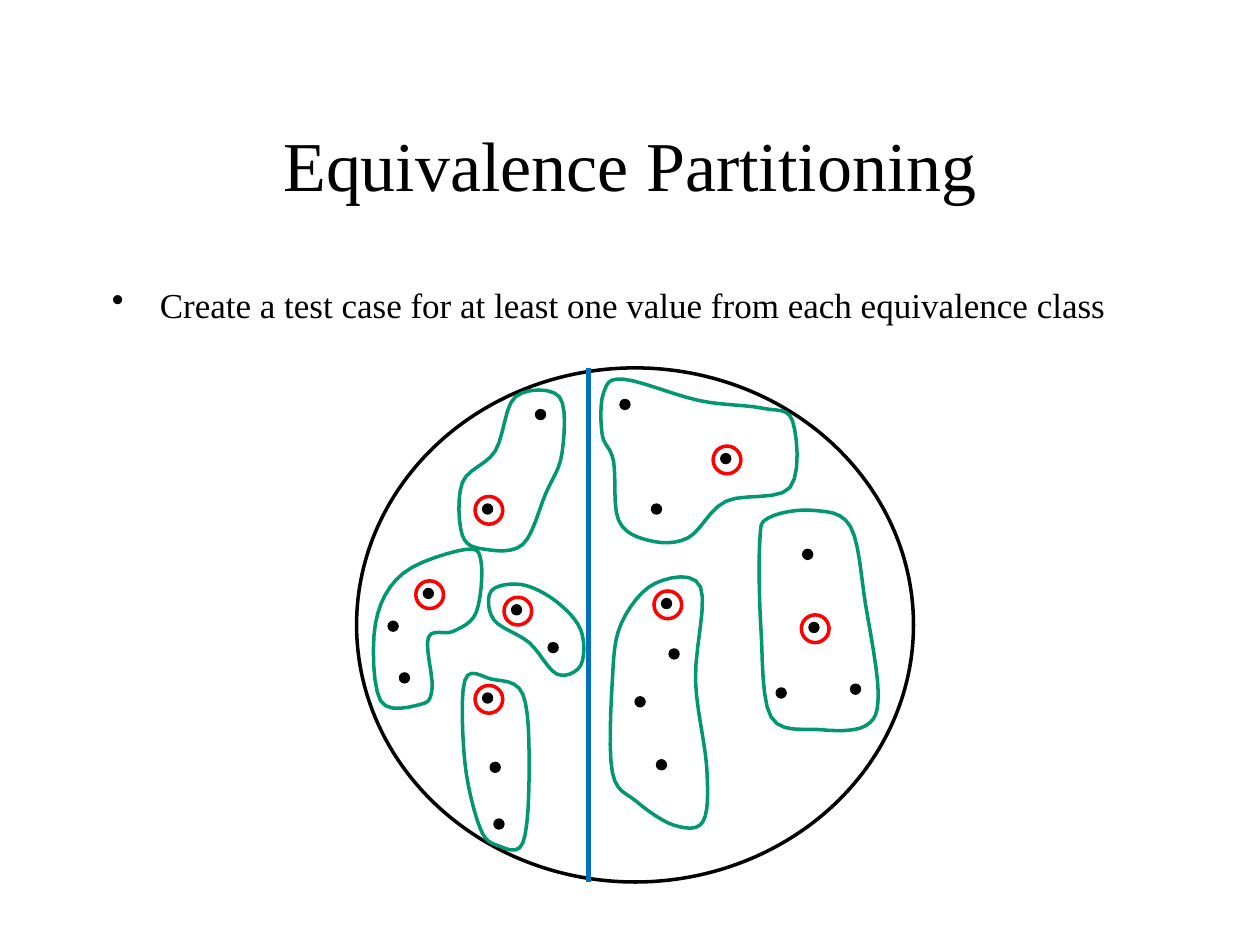
"""Build the Equivalence Partitioning slide: a domain circle split into classes with test values."""
from lxml.etree import SubElement
from pptx import Presentation
from pptx.dml.color import RGBColor
from pptx.enum.shapes import MSO_CONNECTOR, MSO_SHAPE
from pptx.enum.text import MSO_ANCHOR, PP_ALIGN
from pptx.oxml.ns import qn
from pptx.util import Inches, Pt

COLORS = {"ink": "000000", "divider": "0070C0", "class": "009771", "chosen": "FF0000"}
FONT = "Times New Roman"
DOT_SIZE, RING_SIZE, RING_OFFSET = 0.08, 0.22, 0.06
CURVE_STEPS = 6

deck = Presentation()
deck.slide_width, deck.slide_height = Inches(10), Inches(7.5)
page = deck.slides.add_slide(deck.slide_layouts[5])


def style_shape(shape, color, width, filled=False):
    shape.shadow.inherit = False
    shape.line.color.rgb = RGBColor.from_string(COLORS[color])
    shape.line.width = Pt(width)
    if filled:
        shape.fill.solid()
        shape.fill.fore_color.rgb = RGBColor.from_string(COLORS[color])
    else:
        shape.fill.background()


def write_text(frame, text, size, alignment):
    frame.word_wrap = True
    frame.text = text
    para = frame.paragraphs[0]
    para.alignment = alignment
    para.font.name = FONT
    para.font.size = Pt(size)
    para.font.color.rgb = RGBColor.from_string(COLORS["ink"])
    return para


title = page.shapes.title
title.left, title.top = Inches(0.75), Inches(0.67)
title.width, title.height = Inches(8.5), Inches(1.25)
title.text_frame.vertical_anchor = MSO_ANCHOR.MIDDLE
write_text(title.text_frame, "Equivalence Partitioning", 40, PP_ALIGN.CENTER)

box = page.shapes.add_textbox(Inches(0.79), Inches(2.2), Inches(8.5), Inches(0.92))
para = write_text(box.text_frame, "Create a test case for at least one value from each equivalence class",
                  20, PP_ALIGN.LEFT)
para.space_before = Pt(4)
properties = para._p.get_or_add_pPr()
properties.set("marL", str(Inches(0.38)))
properties.set("indent", str(-Inches(0.38)))
bullet = SubElement(properties, qn("a:buChar"))
bullet.set("char", "•")
properties.insert_element_before(bullet, "a:tabLst", "a:defRPr", "a:extLst")

domain = page.shapes.add_shape(MSO_SHAPE.OVAL, Inches(2.83), Inches(2.92), Inches(4.42), Inches(4.08))
style_shape(domain, "ink", 2)

divider = page.shapes.add_connector(MSO_CONNECTOR.STRAIGHT, Inches(4.67), Inches(2.92), Inches(4.67), Inches(7))
divider.line.color.rgb = RGBColor.from_string(COLORS["divider"])
divider.line.width = Pt(3)
SubElement(divider._element.spPr, qn("a:effectLst"))

classes = [
    {"outline": [(4.09, 3.15), (4.44, 3.15), (4.46, 3.6), (4.33, 3.92), (4.15, 4.32), (3.85, 4.36),
                 (3.67, 4.25), (3.67, 3.83), (3.93, 3.58)],
     "values": [(3.83, 4), (4.25, 3.25)]},
    {"outline": [(3.7, 4.36), (3.82, 4.47), (3.78, 4.86), (3.6, 5.01), (3.4, 5.06), (3.43, 5.46),
                 (3.34, 5.59), (3.02, 5.56), (2.98, 4.95), (3.2, 4.55)],
     "values": [(3.36, 4.67), (3.08, 4.93), (3.17, 5.34)]},
    {"outline": [(3.69, 5.4), (3.9, 5.39), (4.15, 5.51), (4.2, 6.1), (4.15, 6.69), (3.95, 6.71),
                 (3.81, 6.57), (3.69, 6.05)],
     "values": [(3.83, 5.5), (3.89, 6.05), (3.92, 6.5)]},
    {"outline": [(5.2, 4.63), (5.56, 4.66), (5.52, 5.4), (5.61, 6.1), (5.58, 6.52), (5.35, 6.55),
                 (5.05, 6.36), (4.86, 6.13), (4.86, 5.4), (4.93, 4.95)],
     "values": [(5.25, 4.75), (5.31, 5.15), (5.04, 5.53), (5.21, 6.03)]},
    {"outline": [(4.95, 3.01), (5.55, 3.18), (6.05, 3.24), (6.29, 3.34), (6.27, 3.87), (5.76, 3.98),
                 (5.46, 4.27), (5.15, 4.29), (4.91, 4.13), (4.87, 3.66), (4.78, 3.45), (4.79, 3.12)],
     "values": [(5.72, 3.6), (4.92, 3.17), (5.17, 4)]},
    {"outline": [(4.14, 4.64), (4.41, 4.77), (4.61, 5), (4.61, 5.28), (4.42, 5.35), (4.2, 5.1),
                 (3.92, 4.92), (3.9, 4.69)],
     "values": [(4.06, 4.8), (4.35, 5.1)]},
    {"outline": [(6.1, 4.11), (6.45, 4.05), (6.75, 4.18), (6.87, 4.8), (6.97, 5.5), (6.87, 5.76),
                 (6.5, 5.79), (6.12, 5.69), (6.04, 5), (6.03, 4.3)],
     "values": [(6.42, 4.94), (6.37, 4.36), (6.16, 5.46), (6.75, 5.43)]},
]
for group in classes:
    outline = group["outline"]
    curve = []
    for index in range(len(outline)):
        neighbours = [outline[(index + shift) % len(outline)] for shift in (-1, 0, 1, 2)]
        for step in range(CURVE_STEPS):
            t = step / CURVE_STEPS
            curve.append([Inches(b + t * ((c - a) + t * ((2 * a - 5 * b + 4 * c - d)
                                                         + t * (3 * b - a - 3 * c + d))) / 2)
                          for a, b, c, d in zip(*neighbours)])
    builder = page.shapes.build_freeform(*curve[0])
    builder.add_line_segments(curve[1:], close=True)
    style_shape(builder.convert_to_shape(), "class", 2)

    for left, top in group["values"]:
        dot = page.shapes.add_shape(MSO_SHAPE.OVAL, Inches(left), Inches(top), Inches(DOT_SIZE), Inches(DOT_SIZE))
        style_shape(dot, "ink", 0.75, filled=True)
    left, top = group["values"][0]
    ring = page.shapes.add_shape(MSO_SHAPE.OVAL, Inches(left - RING_OFFSET), Inches(top - RING_OFFSET),
                                 Inches(RING_SIZE), Inches(RING_SIZE))
    style_shape(ring, "chosen", 2)

deck.save("out.pptx")
